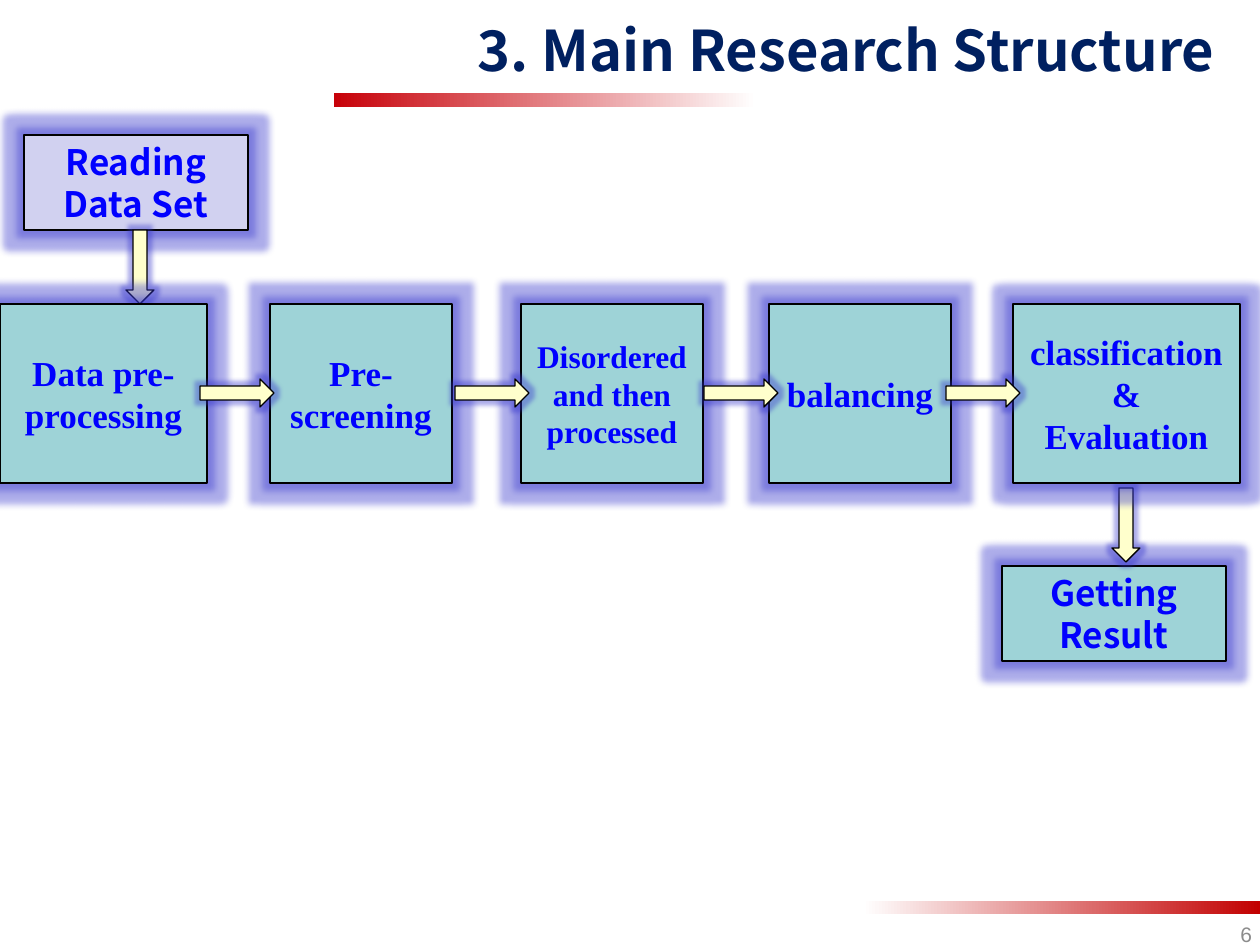
from lxml import etree
from pptx import Presentation
from pptx.dml.color import RGBColor
from pptx.enum.shapes import MSO_SHAPE
from pptx.enum.text import MSO_ANCHOR, PP_ALIGN
from pptx.oxml.ns import qn
from pptx.util import Pt

RECT, DOWN = MSO_SHAPE.RECTANGLE, MSO_SHAPE.DOWN_ARROW
TOP, MIDDLE = MSO_ANCHOR.TOP, MSO_ANCHOR.MIDDLE
CENTER, RIGHT = PP_ALIGN.CENTER, PP_ALIGN.RIGHT
PX = 914400 // 126
SANS, SERIF, ARIAL = "Noto Sans CJK SC", "Times New Roman", "Arial"
COLORS = {
    "white": "FFFFFF", "black": "000000", "navy": "002060", "blue": "0000FF",
    "gray": "8C8C8C", "lilac": "D1D1F0", "teal": "9ED3D7", "cream": "FFFFCC",
    "red": "C70109", "dark_red": "C20000", "glow": "3333CC",
}


def rgb(name):
    """Return the named colour."""
    return RGBColor.from_string(COLORS[name])


def write(sp, lines, font, size, color, align, anchor, bold=True):
    """Fill a shape with one formatted paragraph for each line."""
    tf = sp.text_frame
    tf.word_wrap = True
    tf.vertical_anchor = anchor
    for i, line in enumerate(lines):
        p = tf.paragraphs[0] if i == 0 else tf.add_paragraph()
        p.alignment = align
        if align == CENTER:
            p.line_spacing = Pt(size * 1.2)
        r = p.add_run()
        r.text = line
        r.font.name, r.font.size, r.font.bold = font, Pt(size), bold
        r.font.color.rgb = rgb(color)


prs = Presentation()
prs.slide_width, prs.slide_height = 1260 * PX, 945 * PX
s = prs.slides.add_slide(prs.slide_layouts[5])

# Gradient bars
for x, y, w, h, rotation, color in [
    (334, 93, 422, 14, 180, "red"),
    (863, 901, 397, 13, 0, "dark_red"),
]:
    sp = s.shapes.add_shape(RECT, x * PX, y * PX, w * PX, h * PX)
    sp.shadow.inherit = False
    sp.rotation = rotation
    sp.line.fill.background()
    sp.fill.gradient()
    sp.fill.gradient_angle = 0
    for stop, name in zip(sp.fill.gradient_stops, ("white", color)):
        stop.color.rgb = rgb(name)

# Title and page number
title = s.shapes.title
title.left, title.top, title.width, title.height = 0, 10 * PX, 1225 * PX, 94 * PX
tf = title.text_frame
tf.margin_left = tf.margin_right = 10 * PX
tf.margin_top, tf.margin_bottom = 5 * PX, 6 * PX
write(title, ["3. Main Research Structure"], SANS, 32, "navy", RIGHT, TOP)
number = s.shapes.add_textbox(971 * PX, 909 * PX, 289 * PX, 50 * PX)
number.text_frame.margin_right = 8 * PX
write(number, ["6"], ARIAL, 12, "gray", RIGHT, MIDDLE, bold=False)

# Flow chart from back to front: kind, x, y, w, h, rotation, fill, lines, font, size
STEP_Y, STEP_H = 304, 179
ARROW_W, ARROW_H = 28, 74
flow = [
    (RECT, 24, 135, 224, 95, 0, "lilac", ["Reading Data Set"], SANS, 20),
    (RECT, 1002, 566, 224, 95, 0, "teal", ["Getting Result"], SANS, 20),
]
for x, y in [(126, 230), (1112, 488)]:
    flow.append((DOWN, x, y, ARROW_W, ARROW_H, 0, "cream", [], SERIF, 20))
for x, w, size, lines in [
    (0, 207, 20, ["Data pre-processing"]),
    (270, 182, 20, ["Pre-screening"]),
    (521, 182, 18, ["Disordered and then processed"]),
    (769, 182, 20, ["balancing"]),
    (1013, 227, 20, ["classification&", "Evaluation"]),
]:
    flow.append((RECT, x, STEP_Y, w, STEP_H, 0, "teal", lines, SERIF, size))
for x in (223, 478, 727, 969):
    flow.append((DOWN, x, 356, ARROW_W, ARROW_H, 270, "cream", [], SERIF, 20))

for kind, x, y, w, h, rotation, fill, lines, font, size in flow:
    sp = s.shapes.add_shape(kind, x * PX, y * PX, w * PX, h * PX)
    sp.rotation = rotation
    sp.fill.solid()
    sp.fill.fore_color.rgb = rgb(fill)
    sp.line.color.rgb = rgb("black")
    sp.line.width = Pt(0.75)
    sp.shadow.inherit = False
    effects = sp._element.spPr.find(qn("a:effectLst"))
    radius = Pt(8) if kind == RECT else Pt(5)
    glow = etree.SubElement(effects, qn("a:glow"), rad=str(radius))
    glow_color = etree.SubElement(glow, qn("a:srgbClr"), val=COLORS["glow"])
    etree.SubElement(glow_color, qn("a:alpha"), val="40000")
    if lines:
        write(sp, lines, font, size, "blue", CENTER, MIDDLE)

prs.save("out.pptx")
